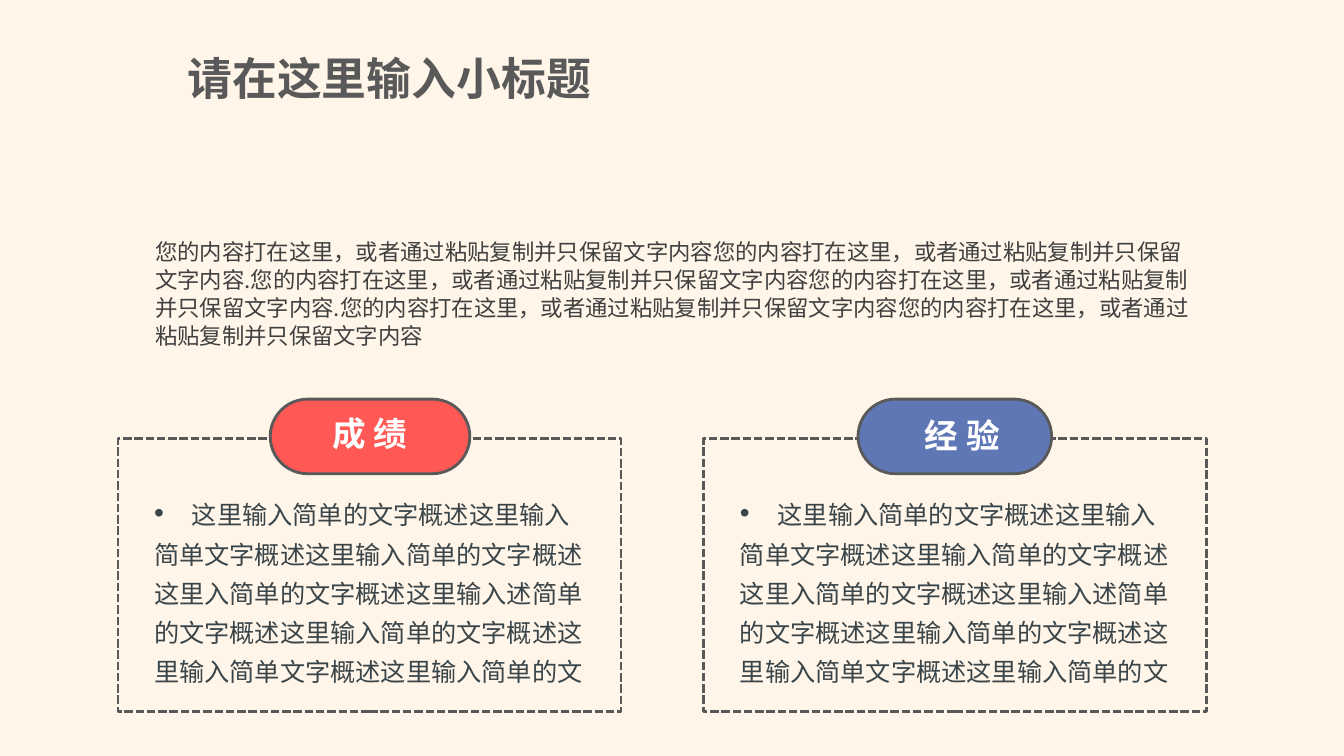
from lxml.etree import SubElement
from pptx import Presentation
from pptx.dml.color import RGBColor
from pptx.enum.dml import MSO_LINE
from pptx.enum.shapes import MSO_SHAPE
from pptx.enum.text import MSO_ANCHOR, MSO_AUTO_SIZE, PP_ALIGN
from pptx.oxml.ns import qn
from pptx.util import Emu, Pt

PX = 9144
FONT = "Noto Sans CJK SC"
COLORS = {
    "paper": "FFF5E9",
    "outline": "595959",
    "red": "FF5855",
    "blue": "6077B6",
    "white": "FFFFFF",
    "intro": "404040",
    "body": "3A4549",
}
SENTENCE = "您的内容打在这里，或者通过粘贴复制并只保留文字内容"
INTRO = ".".join([SENTENCE * 2] * 3)
SUMMARY = (
    "这里输入简单的文字概述这里输入简单文字概述这里输入简单的文字概述"
    "这里入简单的文字概述这里输入述简单的文字概述"
    "这里输入简单的文字概述这里输入简单文字概述这里输入简单的文"
)


class Deck:
    def __init__(self, width, height):
        self.prs = Presentation()
        self.prs.slide_width = Emu(width * PX)
        self.prs.slide_height = Emu(height * PX)
        self.s = self.prs.slides.add_slide(self.prs.slide_layouts[5])
        fill = self.s.background.fill
        fill.solid()
        fill.fore_color.rgb = self.color("paper")

    def color(self, name):
        return RGBColor.from_string(COLORS[name])

    def box(self, *lengths):
        return [Emu(length * PX) for length in lengths]

    def style(self, r, size, color, bold=False, font=FONT):
        r.font.size = Pt(size)
        r.font.bold = bold
        r.font.color.rgb = self.color(color)
        r.font.name = font
        SubElement(r.font._element, qn("a:ea")).set("typeface", font)

    def title(self, text, *box):
        sp = self.s.shapes.title
        sp.left, sp.top, sp.width, sp.height = self.box(*box)
        tf = sp.text_frame
        tf.text = text
        tf.word_wrap = False
        tf.auto_size = MSO_AUTO_SIZE.NONE
        tf.vertical_anchor = MSO_ANCHOR.TOP
        p = tf.paragraphs[0]
        p.alignment = PP_ALIGN.LEFT
        self.style(p.runs[0], 32, "outline", True)

    def shape(self, kind, box, fill=None):
        sp = self.s.shapes.add_shape(kind, *self.box(*box))
        sp.shadow.inherit = False
        sp.line.color.rgb = self.color("outline")
        sp.line.width = Pt(2)
        if fill:
            sp.fill.solid()
            sp.fill.fore_color.rgb = self.color(fill)
        else:
            sp.fill.background()
        return sp

    def frame(self, *box):
        sp = self.shape(MSO_SHAPE.RECTANGLE, box)
        sp.line.dash_style = MSO_LINE.SQUARE_DOT

    def pill(self, fill, *box):
        sp = self.shape(MSO_SHAPE.ROUNDED_RECTANGLE, box, fill)
        sp.adjustments[0] = 0.5

    def text(self, text, box, size, color, bold=False, align=PP_ALIGN.LEFT, spacing=None):
        tf = self.s.shapes.add_textbox(*self.box(*box)).text_frame
        tf.word_wrap = True
        tf.text = text
        p = tf.paragraphs[0]
        p.alignment = align
        if spacing:
            p.line_spacing = Pt(spacing)
        self.style(p.runs[0], size, color, bold)
        return p

    def bullet_text(self, text, *box):
        p = self.text("　", box, 20, "body", spacing=28)
        pPr = p._p.get_or_add_pPr()
        SubElement(pPr, qn("a:buFont")).set("typeface", "Arial")
        SubElement(pPr, qn("a:buChar")).set("char", "•")
        self.style(p.runs[0], 20, "body", font="Arial")
        r = p.add_run()
        r.text = text
        self.style(r, 18, "body")

    def card(self, left, heading, fill, pill_left, pill_width, label_left, label_top):
        self.frame(left, 435, 499, 271)
        self.pill(fill, pill_left, 396, pill_width, 74)
        self.text(heading, (label_left, label_top, 149, 50), 24, "white", True, PP_ALIGN.CENTER)
        self.bullet_text(SUMMARY, left + 26, 482, 447, 203)


def main():
    deck = Deck(1333, 750)
    deck.title("请在这里输入小标题", 176, 45, 426, 64)
    deck.card(117, "成 绩", "red", 268, 198, 292, 405)
    deck.card(698, "经 验", "blue", 851, 192, 880, 407)
    deck.text(INTRO, (144, 230, 1060, 121), 16, "intro", spacing=20)
    deck.prs.save("out.pptx")


if __name__ == "__main__":
    main()
